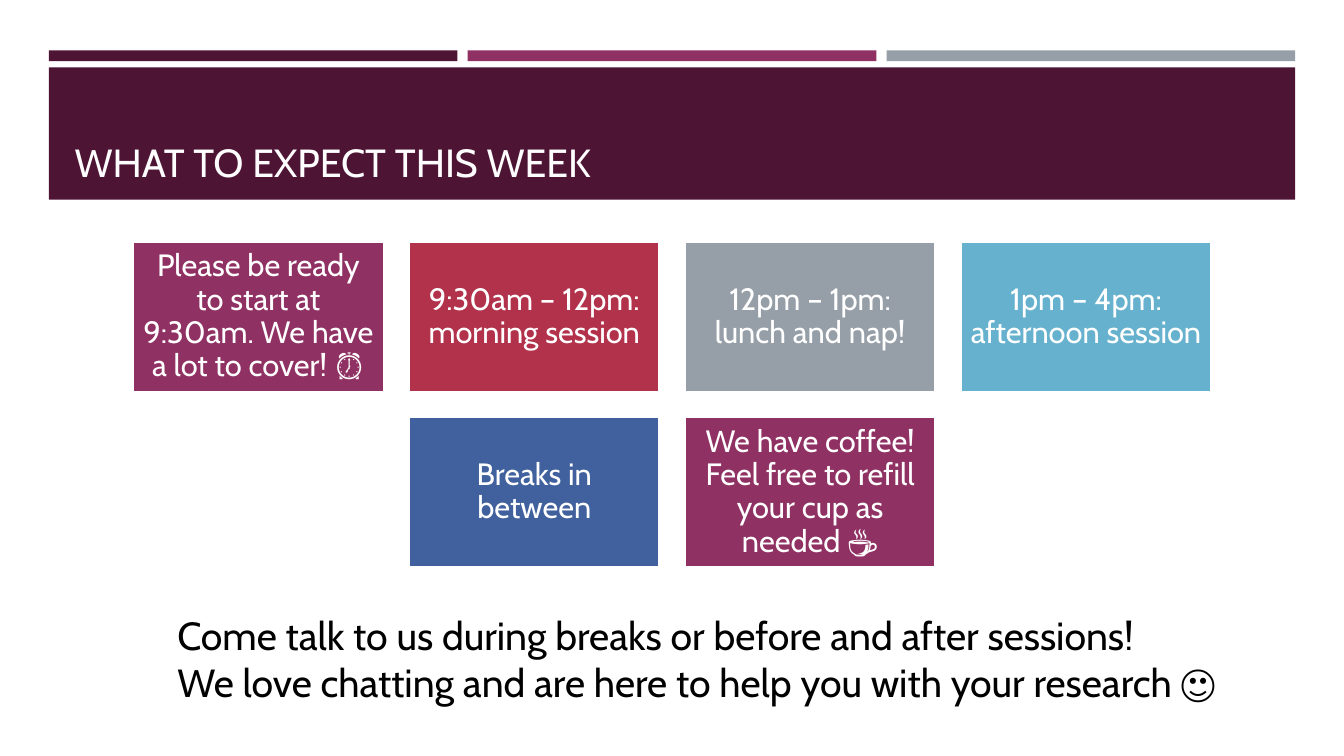
from pptx import Presentation
from pptx.dml.color import RGBColor
from pptx.enum.shapes import MSO_SHAPE as Shape
from pptx.enum.text import MSO_ANCHOR as Anchor, PP_ALIGN as Align
from pptx.util import Cm, Pt

FONT = "Cabin"
COLORS = {
    "plum": "4D1434",
    "berry": "903163",
    "grey": "969FA7",
    "red": "B2324B",
    "sky": "66B1CE",
    "blue": "40619D",
    "white": "FFFFFF",
    "title": "FFFEFF",
    "black": "000000",
}
SCHEDULE = [
    [
        ("Please be ready to start at 9:30am. We have a lot to cover! ⏰", "berry"),
        ("9:30am – 12pm: morning session", "red"),
        ("12pm – 1pm: lunch and nap!", "grey"),
        ("1pm – 4pm: afternoon session", "sky"),
    ],
    [
        ("Breaks in between", "blue"),
        ("We have coffee! Feel free to refill your cup as needed ☕️", "berry"),
    ],
]
INVITATION = [
    "Come talk to us during breaks or before and after sessions!",
    "We love chatting and are here to help you with your research 🙂",
]


def rgb(color):
    """Return the palette colour with the given name."""
    return RGBColor.from_string(COLORS[color])


def add_block(slide, box, fill, outline=None):
    """Add a flat rectangle, with an outline if a colour is given."""
    block = slide.shapes.add_shape(Shape.RECTANGLE, *map(Cm, box))
    block.shadow.inherit = False
    block.fill.solid()
    block.fill.fore_color.rgb = rgb(fill)
    if outline:
        block.line.color.rgb = rgb(outline)
        block.line.width = Pt(1.75)
    else:
        block.line.fill.background()
    return block


def write(frame, lines, size, color, align=Align.LEFT, anchor=Anchor.TOP, spacing=1.0):
    """Write one paragraph per line into a text frame."""
    frame.word_wrap = True
    frame.vertical_anchor = anchor
    for number, line in enumerate(lines):
        paragraph = frame.add_paragraph() if number else frame.paragraphs[0]
        paragraph.alignment = align
        paragraph.line_spacing = spacing
        run = paragraph.add_run()
        run.text = line
        run.font.name = FONT
        run.font.size = Pt(size)
        run.font.color.rgb = rgb(color)


def add_header(slide, left, top, width, height):
    """Draw the three thin bars and the title banner below them."""
    gap, bar_height, banner_offset = 0.26, 0.27, 0.43
    bar_width = (width - 2 * gap) / 3
    for column, color in enumerate(["plum", "berry", "grey"]):
        bar_left = left + column * (bar_width + gap)
        add_block(slide, (bar_left, top, bar_width, bar_height), color)
    banner_top, banner_height = top + banner_offset, height - banner_offset
    add_block(slide, (left, banner_top, width, banner_height), "plum")
    title_box = (left + 0.4, banner_top + 0.25, width - 0.8, banner_height - 0.48)
    title = slide.shapes.add_textbox(*map(Cm, title_box))
    write(title.text_frame, ["WHAT TO EXPECT THIS WEEK"], 28, "title", anchor=Anchor.BOTTOM)


def add_schedule(slide, left, top, width, height):
    """Lay out the schedule cards in centred rows."""
    gap = 0.63
    card_width = (width - 3 * gap) / 4
    card_height = (height - gap) / 2
    for row, cards in enumerate(SCHEDULE):
        row_width = len(cards) * (card_width + gap) - gap
        row_left = left + (width - row_width) / 2
        card_top = top + row * (card_height + gap)
        for column, (words, color) in enumerate(cards):
            card_left = row_left + column * (card_width + gap)
            card = add_block(slide, (card_left, card_top, card_width, card_height), color, "white")
            frame = card.text_frame
            frame.margin_left = frame.margin_right = Cm(0.23)
            frame.margin_top = frame.margin_bottom = Cm(0.23)
            write(frame, [words], 22, "white", Align.CENTER, Anchor.MIDDLE, 0.9)


def add_invitation(slide, left, top, width, height):
    """Place the closing invitation under the schedule."""
    invitation = slide.shapes.add_textbox(Cm(left), Cm(top), Cm(width), Cm(height))
    write(invitation.text_frame, INVITATION, 28, "black")


def main():
    """Build the slide and save it."""
    deck = Presentation()
    deck.slide_width, deck.slide_height = Cm(33.87), Cm(19.05)
    slide = deck.slides.add_slide(deck.slide_layouts[6])
    add_header(slide, 1.23, 1.27, 31.41, 3.76)
    add_schedule(slide, 3.35, 6.09, 27.18, 8.21)
    add_invitation(slide, 4.22, 15.29, 28.32, 2.64)
    deck.save("out.pptx")


if __name__ == "__main__":
    main()
